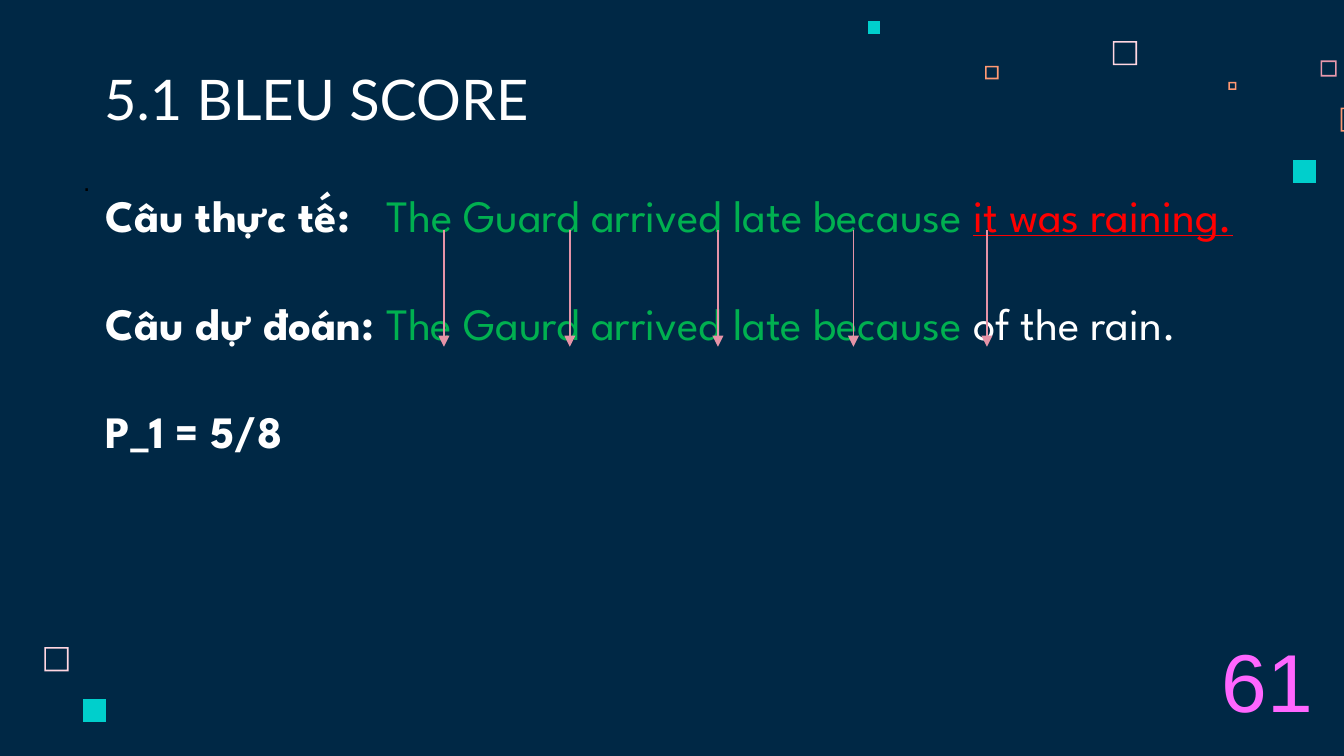
"""Build the BLEU score slide with its word-matching arrows."""
from lxml.etree import SubElement
from pptx import Presentation
from pptx.dml.color import RGBColor
from pptx.enum.shapes import MSO_CONNECTOR
from pptx.enum.text import MSO_ANCHOR, MSO_AUTO_SIZE, PP_ALIGN
from pptx.oxml.ns import qn
from pptx.util import Inches, Pt

HUES = {"navy": "002845", "white": "FFFFFF", "black": "000000",
        "green": "00B050", "red": "FF0000", "violet": "FF66FF",
        "blush": "FFD6E1", "rose": "E898AC", "arrow": "E593A7",
        "peach": "FF9973", "teal": "00CFCC"}

deck = Presentation()
deck.slide_width = Inches(10)
deck.slide_height = deck.slide_width * 9 // 16
unit = deck.slide_width / 100
slide = deck.slides.add_slide(deck.slide_layouts[1])
items = slide.shapes


def tint(name):
    return RGBColor.from_string(HUES[name])


def write(para, text, size=24, font="League Spartan", hue="white",
          bold=False, under=False, gap=0):
    run = para.add_run()
    run.text = text
    run.font.size, run.font.name = Pt(size), font
    run.font.bold, run.font.underline = bold, under
    run.font.color.rgb = tint(hue)
    if gap:
        run._r.get_or_add_rPr().set("spc", str(gap * 100))


slide.background.fill.solid()
slide.background.fill.fore_color.rgb = tint("navy")

squares = [(82.8, 3.05, 1.8, "blush", True), (98.25, 4.5, 1.2, "rose", True),
           (91.4, 6.1, 0.6, "peach", True), (99.75, 8, 1.8, "peach", True),
           (96.2, 11.9, 1.7, "teal", False), (73.3, 4.9, 1, "peach", True),
           (64.6, 1.6, 0.9, "teal", False), (3.3, 48.15, 1.8, "blush", True),
           (6.2, 52, 1.7, "teal", False)]
for col, row, side, hue, hollow in squares:
    x, y, s = col * unit, row * unit, side * unit
    pen = items.build_freeform(x, y)
    pen.add_line_segments([(x, y + s), (x + s, y + s), (x + s, y)])
    if hollow:
        rim = 0.12 * unit
        a, b, c, d = x + rim, y + rim, x + s - rim, y + s - rim
        pen.move_to(c, b)
        pen.add_line_segments([(c, d), (a, d), (a, b)])
    square = pen.convert_to_shape()
    square.shadow.inherit = False
    square.fill.solid()
    square.fill.fore_color.rgb = tint(hue)
    square.line.fill.background()

title, body = items.title, slide.placeholders[1]
dot, page = (items.add_textbox(0, 0, 0, 0) for _ in range(2))
places = [(title, 6.75, 4.5, 48.8, 6.3), (dot, 5.2, 11.3, 49.9, 26.1),
          (page, 89.9, 46.4, 11.5, 8.4), (body, 6.85, 13, 93.1, 34.7)]
for box, *grid in places:
    box.left, box.top, box.width, box.height = (int(n * unit) for n in grid)
    frame = box.text_frame
    frame.word_wrap = True
    frame.auto_size = MSO_AUTO_SIZE.NONE
    frame.vertical_anchor = MSO_ANCHOR.TOP
    if box is not page:
        frame.margin_left = frame.margin_right = Inches(0.1)
        frame.margin_top = frame.margin_bottom = Inches(0.1)

title.text_frame.vertical_anchor = MSO_ANCHOR.BOTTOM
head = title.text_frame.paragraphs[0]
head.alignment = PP_ALIGN.LEFT
write(head, "5.1 BLEU SCORE", size=30, font="Lato")
write(dot.text_frame.paragraphs[0], ".", size=14, font="Arial", hue="black")
write(page.text_frame.paragraphs[0], "61", size=44, font="Arial", hue="violet")

bold, green = {"bold": True}, {"hue": "green"}
lines = [
    [("Câu thực tế:", bold), (" ", {"bold": True, "gap": 13}),
     ("The Guard arrived late because ", green),
     ("it was raining.", {"hue": "red", "under": True})],
    [("Câu dự đoán: ", bold), ("The Gaurd arrived late because ", green),
     ("of the rain.", {})],
    [("P_1 = 5/8", bold)]]
for i, line in enumerate(lines):
    frame = body.text_frame
    para = frame.add_paragraph() if i else frame.paragraphs[0]
    para.alignment = PP_ALIGN.LEFT
    para.space_before, para.space_after = Pt(0), Pt(28.8)
    props = para._p.get_or_add_pPr()
    props.set("marL", "0")
    props.set("indent", "0")
    SubElement(props, qn("a:buNone"))
    for text, style in line:
        write(para, text, **style)

for col in (33.03, 42.4, 53.42, 63.5, 73.43):
    x = int(col * unit)
    arrow = items.add_connector(MSO_CONNECTOR.STRAIGHT, x, int(17.1 * unit),
                                x, int(25.8 * unit))
    arrow.line.color.rgb = tint("arrow")
    arrow.line.width = Pt(0.75)
    SubElement(arrow.line._get_or_add_ln(), qn("a:tailEnd"), type="triangle")
    SubElement(arrow._element.spPr, qn("a:effectLst"))

deck.save("out.pptx")
